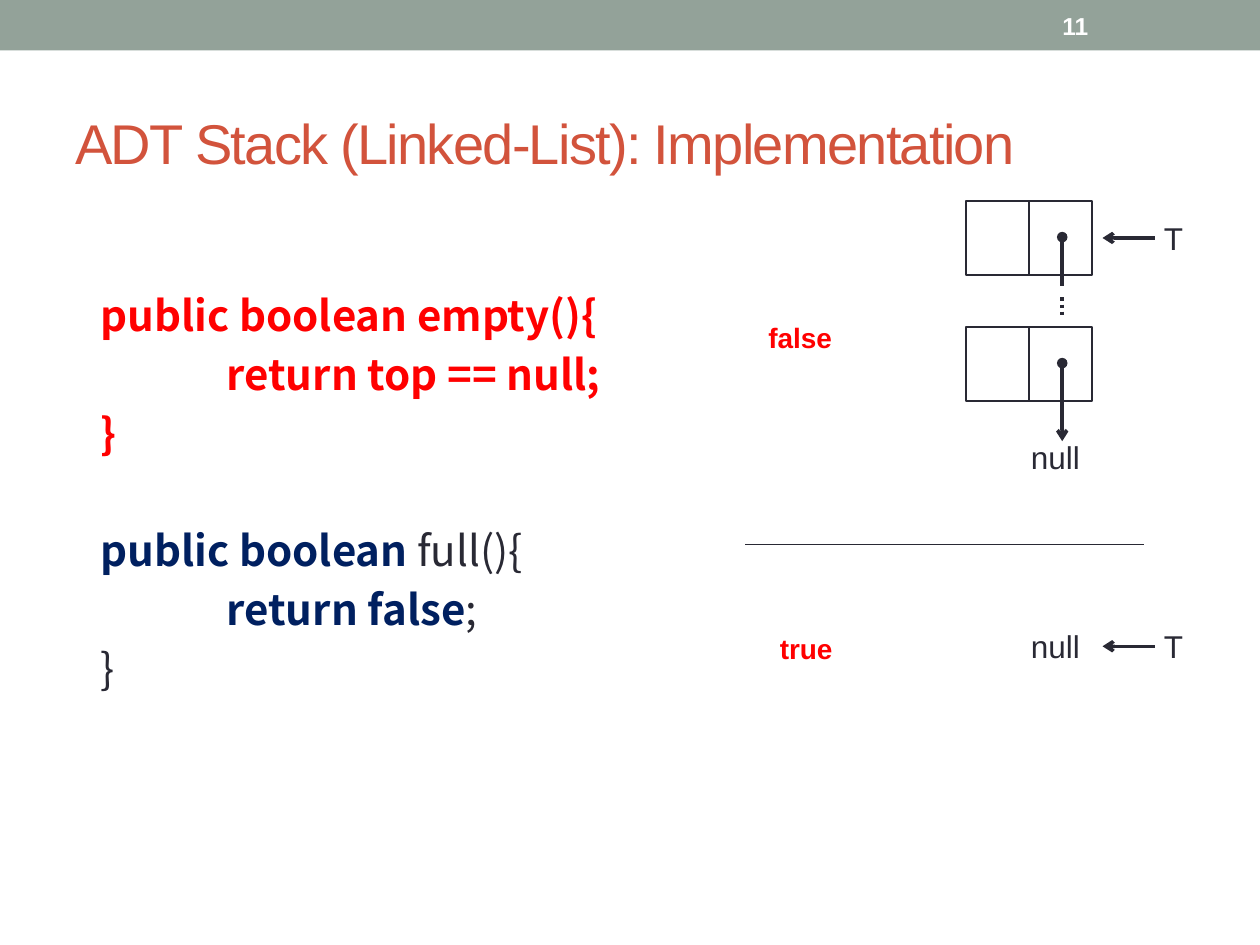
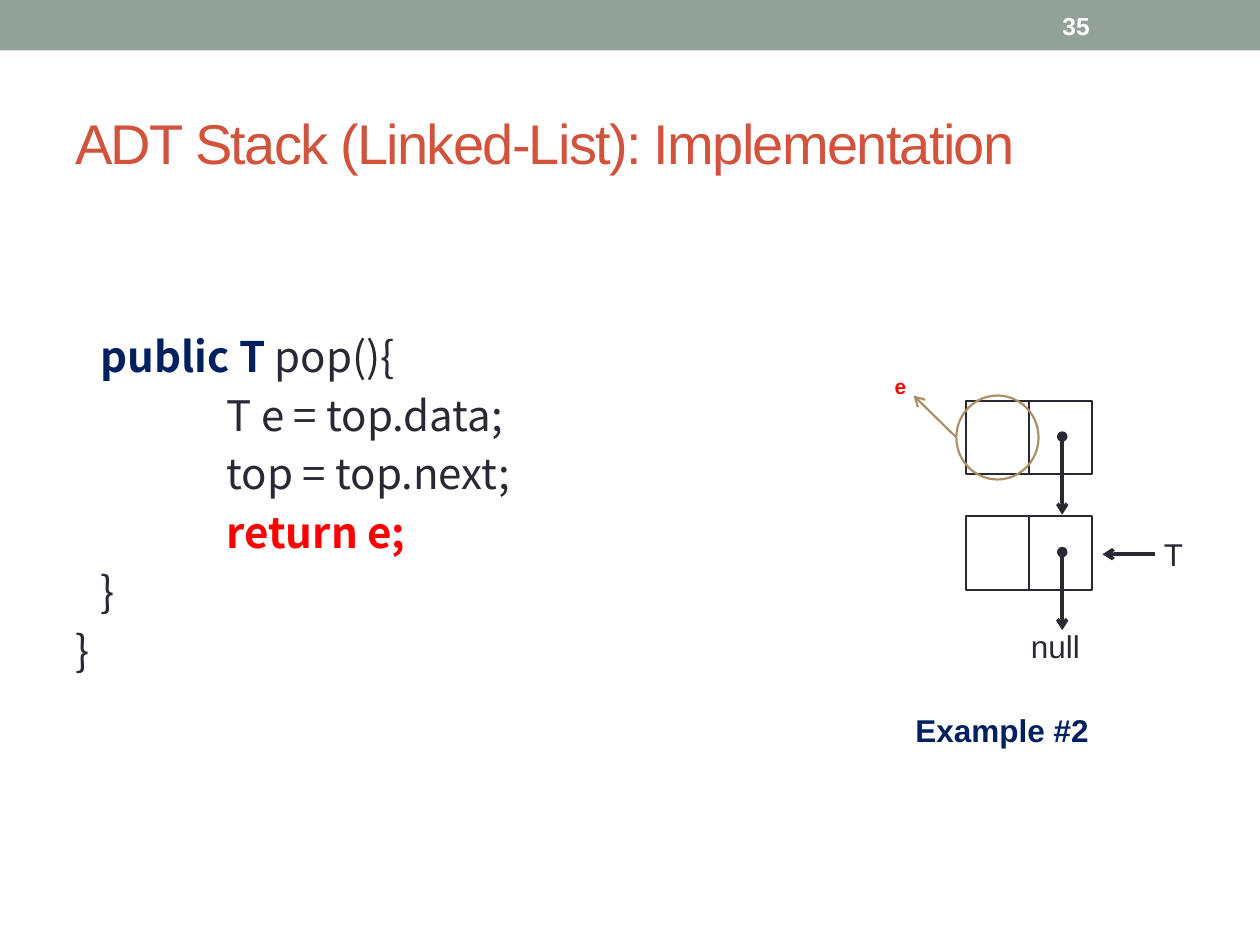
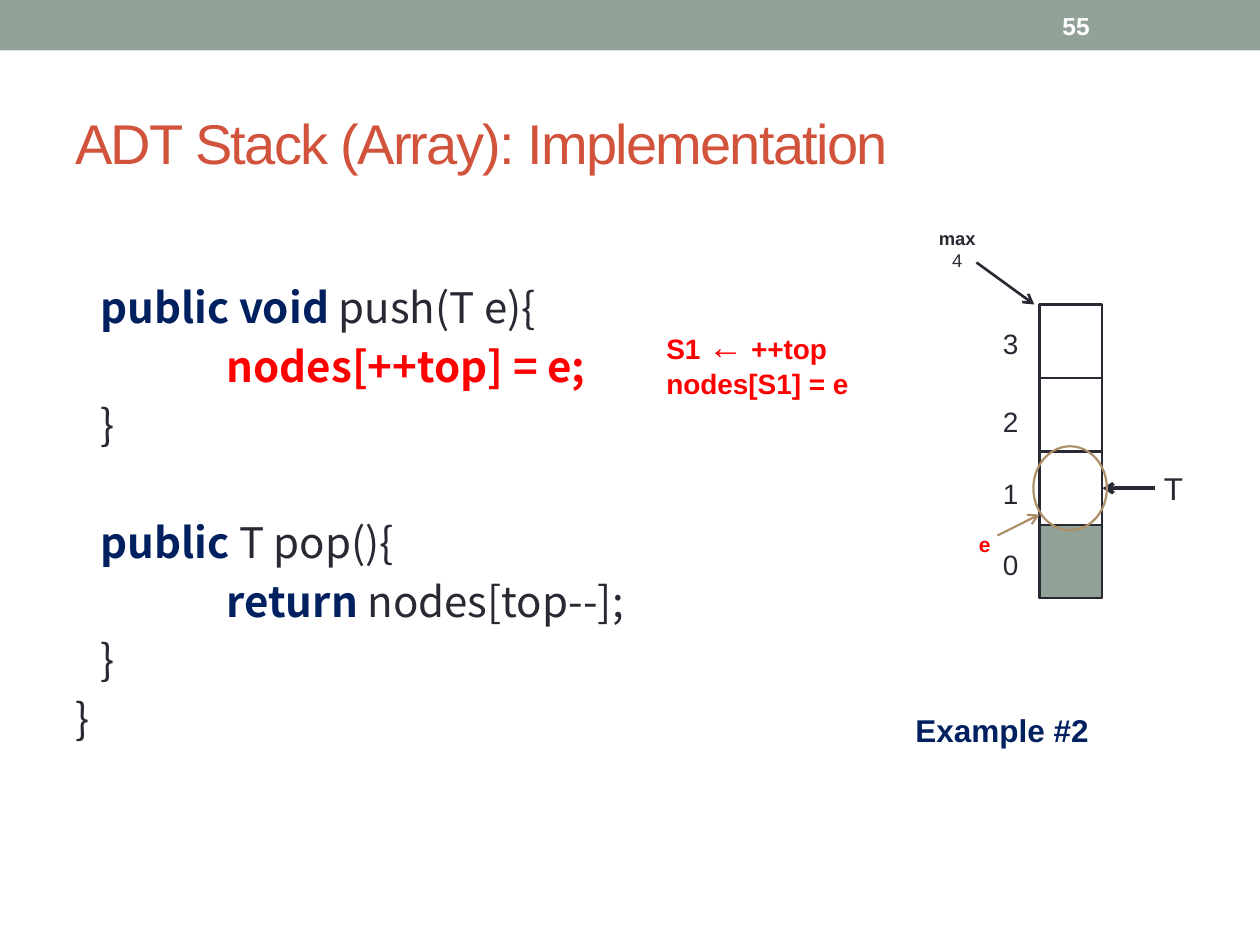
from dataclasses import dataclass
from typing import Optional

import lxml.etree
import pptx
import pptx.dml.color
import pptx.enum.dml
import pptx.enum.shapes
import pptx.enum.text
import pptx.oxml.ns
import pptx.shapes.autoshape
import pptx.shapes.connector
import pptx.slide
import pptx.util

Pt = pptx.util.Pt
RGBColor = pptx.dml.color.RGBColor
Shape = pptx.shapes.autoshape.Shape
Connector = pptx.shapes.connector.Connector
Slide = pptx.slide.Slide
MSO_SHAPE = pptx.enum.shapes.MSO_SHAPE
PP_ALIGN = pptx.enum.text.PP_ALIGN
MSO_ANCHOR = pptx.enum.text.MSO_ANCHOR
MSO_AUTO_SIZE = pptx.enum.text.MSO_AUTO_SIZE

# Shared colours and fonts
SAGE = RGBColor(0x93, 0xA2, 0x99)
RUST = RGBColor(0xD2, 0x53, 0x3C)
INK = RGBColor(0x29, 0x29, 0x34)
NAVY = RGBColor(0x00, 0x20, 0x60)
RED = RGBColor(0xFF, 0x00, 0x00)
TAN = RGBColor(0xAD, 0x8F, 0x67)
WHITE = RGBColor(0xFF, 0xFF, 0xFF)
TEXT_FONT = "Arial"
CODE_FONT = "Noto Sans CJK SC"

# Code layout
CODE_SIZE = 24
LINE_HEIGHT = 28.8
LINE_GAP = 4.8
BLANK_LINE = LINE_HEIGHT + LINE_GAP
INDENTS = (0, 14.4, 86.4)

# Diagram layout
NODE_LEFT, NODE_WIDTH, CELL_HEIGHT = 552, 72, 42
POINTER_X, POINTER_DROP, POINTER_LENGTH = 607, 20.5, 44.6
SLOT_LEFT, SLOT_WIDTH, SLOT_BOTTOM = 594, 36, 342


@dataclass
class Run:
    text: str
    color: RGBColor = INK
    bold: bool = False
    size: float = CODE_SIZE
    font: str = TEXT_FONT


@dataclass
class CodeLine:
    level: int
    runs: list[Run]
    after_blank: bool = False


@dataclass
class Box:
    left: float
    top: float
    width: float
    height: float

    def points(self) -> tuple[pptx.util.Length, ...]:
        return Pt(self.left), Pt(self.top), Pt(self.width), Pt(self.height)


def code(text: str) -> Run:
    return Run(text, font=CODE_FONT)


def keyword(text: str) -> Run:
    return Run(text, NAVY, True, font=CODE_FONT)


def current(text: str) -> Run:
    return Run(text, RED, True, font=CODE_FONT)


# Text
def add_run(p, run: Run):
    r = p.add_run()
    r.text = run.text
    r.font.name = run.font
    r.font.size = Pt(run.size)
    r.font.bold = run.bold
    r.font.color.rgb = run.color
    return r


def add_text(s: Slide, box: Box, lines: list[list[Run]], wrap: bool = False,
             align: PP_ALIGN = PP_ALIGN.LEFT) -> Shape:
    sp = s.shapes.add_textbox(*box.points())
    tf = sp.text_frame
    tf.word_wrap = wrap
    if not wrap:
        tf.auto_size = MSO_AUTO_SIZE.SHAPE_TO_FIT_TEXT
    for i, runs in enumerate(lines):
        p = tf.add_paragraph() if i else tf.paragraphs[0]
        p.alignment = align
        for run in runs:
            add_run(p, run)
    return sp


def add_code(s: Slide, top_inset: float, lines: list[CodeLine]) -> None:
    sp = add_text(s, Box(36, 126, 648, 384), [line.runs for line in lines], wrap=True)
    sp.text_frame.margin_top = Pt(top_inset)
    for i, (p, line) in enumerate(zip(sp.text_frame.paragraphs, lines)):
        p.line_spacing = Pt(LINE_HEIGHT)
        if i:
            p.space_before = Pt(LINE_GAP + (BLANK_LINE if line.after_blank else 0))
        p._p.get_or_add_pPr().set("marL", str(Pt(INDENTS[line.level])))


# Shapes and lines
def add_outline(s: Slide, kind: MSO_SHAPE, box: Box, fill: Optional[RGBColor],
                line: Optional[RGBColor] = INK) -> Shape:
    sp = s.shapes.add_shape(kind, *box.points())
    sp.shadow.inherit = False
    if fill is None:
        sp.fill.background()
    else:
        sp.fill.solid()
        sp.fill.fore_color.rgb = fill
    if line is None:
        sp.line.fill.background()
    else:
        sp.line.color.rgb = line
        sp.line.width = Pt(1.25)
    return sp


def add_line(s: Slide, start: tuple[float, float], end: tuple[float, float],
             width: float = 2, color: RGBColor = INK, head: str = "",
             tail: str = "") -> Connector:
    c = s.shapes.add_connector(pptx.enum.shapes.MSO_CONNECTOR.STRAIGHT,
                               Pt(start[0]), Pt(start[1]), Pt(end[0]), Pt(end[1]))
    c.line.color.rgb = color
    c.line.width = Pt(width)
    qn = pptx.oxml.ns.qn
    for tag, kind in (("a:headEnd", head), ("a:tailEnd", tail)):
        if kind:
            lxml.etree.SubElement(c.line._get_or_add_ln(), qn(tag)).set("type", kind)
    lxml.etree.SubElement(c._element.spPr, qn("a:effectLst"))
    return c


# Diagram parts
def add_node(s: Slide, top: float) -> None:
    sp = add_outline(s, MSO_SHAPE.RECTANGLE,
                     Box(NODE_LEFT, top, NODE_WIDTH, CELL_HEIGHT), WHITE)
    middle = NODE_LEFT + NODE_WIDTH / 2
    c = add_line(s, (middle, top), (middle, top + CELL_HEIGHT), 0.75)
    c.begin_connect(sp, 0)
    c.end_connect(sp, 2)


def add_pointer(s: Slide, node_top: float, length: float = POINTER_LENGTH,
                tail: str = "arrow") -> None:
    y = node_top + POINTER_DROP
    add_line(s, (POINTER_X, y), (POINTER_X, y + length), head="oval", tail=tail)


def add_top_arrow(s: Slide, y: float) -> Connector:
    add_text(s, Box(658, y - 14.4, 26, 29), [[Run("T", size=18)]])
    return add_line(s, (660, y), (630, y), tail="arrow")


def add_null(s: Slide, top: float) -> None:
    add_text(s, Box(582, top, 47.5, 29), [[Run("null", size=18)]])


def add_example(s: Slide) -> None:
    add_text(s, Box(516, 403, 118, 29), [[Run("Example #2", NAVY, True, 18)]])


def add_element(s: Slide, box: Box) -> None:
    add_text(s, box, [[Run("e", RED, True, 12)]], align=PP_ALIGN.CENTER)


def add_base(prs, title: str, number: int) -> Slide:
    s = prs.slides.add_slide(prs.slide_layouts[6])
    add_outline(s, MSO_SHAPE.RECTANGLE, Box(0, 0, 720, 28.8), SAGE, None)
    heading = add_text(s, Box(36, 42, 648, 78), [[Run(title, RUST, size=32)]], wrap=True)
    heading.text_frame.paragraphs[0].runs[0].font._element.set("spc", "-100")
    page = add_text(s, Box(600, 1.6, 84, 26), [[Run(str(number), WHITE, True, 14)]],
                    wrap=True)
    for sp in (heading, page):
        sp.text_frame.vertical_anchor = MSO_ANCHOR.MIDDLE
    return s


# Slides
def build_empty(prs) -> None:
    s = add_base(prs, "ADT Stack (Linked-List): Implementation", 11)
    add_code(s, 39.5, [
        CodeLine(1, [current("public boolean empty(){")]),
        CodeLine(2, [current("return top == null;")]),
        CodeLine(1, [current("}")]),
        CodeLine(1, [keyword("public boolean "), code("full(){")], after_blank=True),
        CodeLine(2, [keyword("return false"), code(";")]),
        CodeLine(1, [code("}")]),
    ])
    # Filled stack above, empty stack below
    first, last = 115, 187
    add_top_arrow(s, 136)
    add_null(s, 247)
    add_node(s, last)
    add_node(s, first)
    add_pointer(s, first, 28, tail="")
    add_pointer(s, last)
    dots = add_line(s, (POINTER_X, 170), (POINTER_X, 180.7))
    dots.line.dash_style = pptx.enum.dml.MSO_LINE.ROUND_DOT
    add_line(s, (426, 311), (654, 311), 0.75)
    add_top_arrow(s, 369.3)
    add_null(s, 355)
    add_text(s, Box(432, 179.5, 51, 26.6), [[Run("false", RED, True, 16)]])
    add_text(s, Box(438.5, 357.5, 46, 26.6), [[Run("true", RED, True, 16)]])


def build_list_pop(prs) -> None:
    s = add_base(prs, "ADT Stack (Linked-List): Implementation", 35)
    add_code(s, 62.7, [
        CodeLine(1, [keyword("public T"), code(" pop(){")]),
        CodeLine(2, [code("T e = top.data;")]),
        CodeLine(2, [code("top = top.next;")]),
        CodeLine(2, [current("return e;")]),
        CodeLine(1, [code("}")]),
        CodeLine(0, [code("}")]),
    ])
    # Popped node above the new top
    for top in (295, 229):
        add_node(s, top)
        add_pointer(s, top)
    add_null(s, 355)
    add_outline(s, MSO_SHAPE.OVAL, Box(546.5, 226, 47, 48), None, TAN)
    add_line(s, (546.5, 250), (522, 226), 1.25, TAN, tail="arrow")
    add_element(s, Box(504, 209.8, 21, 21.8))
    add_top_arrow(s, 316.7)
    add_example(s)


def build_array_push(prs) -> None:
    s = add_base(prs, "ADT Stack (Array): Implementation", 55)
    add_code(s, 34.7, [
        CodeLine(1, [keyword("public void "), code("push(T e){")]),
        CodeLine(2, [current("nodes[++top] = e;")]),
        CodeLine(1, [code("}")]),
        CodeLine(1, [keyword("public "), code("T pop(){")], after_blank=True),
        CodeLine(2, [keyword("return "), code("nodes[top--];")]),
        CodeLine(1, [code("}")]),
        CodeLine(0, [code("}")]),
    ])
    # Array slots, bottom up, with their indices
    slots = []
    for i, label_top in enumerate((309.6, 269, 227.5, 183)):
        box = Box(SLOT_LEFT, SLOT_BOTTOM - (i + 1) * CELL_HEIGHT, SLOT_WIDTH, CELL_HEIGHT)
        slots.append(add_outline(s, MSO_SHAPE.RECTANGLE, box, WHITE if i else SAGE))
        add_text(s, Box(566, label_top, 24.5, 26.6), [[Run(str(i), size=16)]])
    # Capacity
    add_line(s, (558, 150), (591, 174), 1.5, tail="arrow")
    sp = add_text(s, Box(528, 126, 38, 34), [[Run("max", bold=True, size=10.5)]],
                  align=PP_ALIGN.CENTER)
    p = sp.text_frame.paragraphs[0]
    p.add_line_break()
    add_run(p, Run("4", size=10.5))
    # Pushed element and top marker
    add_top_arrow(s, 279).end_connect(slots[1], 3)
    add_line(s, (570, 306), (594, 294), 1.25, TAN, tail="arrow")
    add_outline(s, MSO_SHAPE.OVAL, Box(590.5, 255, 42, 48), None, TAN)
    add_element(s, Box(552, 300, 21.5, 21.8))
    add_text(s, Box(373.7, 182, 124, 51), [
        [Run("S1 ", RED, True, 16), Run("←", RED, True, 20), Run(" ++top", RED, True, 16)],
        [Run("nodes[S1] = e", RED, True, 16)],
    ])
    add_example(s)


def main() -> None:
    prs = pptx.Presentation()
    prs.slide_width, prs.slide_height = Pt(720), Pt(540)
    build_empty(prs)
    build_list_pop(prs)
    build_array_push(prs)
    prs.save("out.pptx")


if __name__ == "__main__":
    main()
